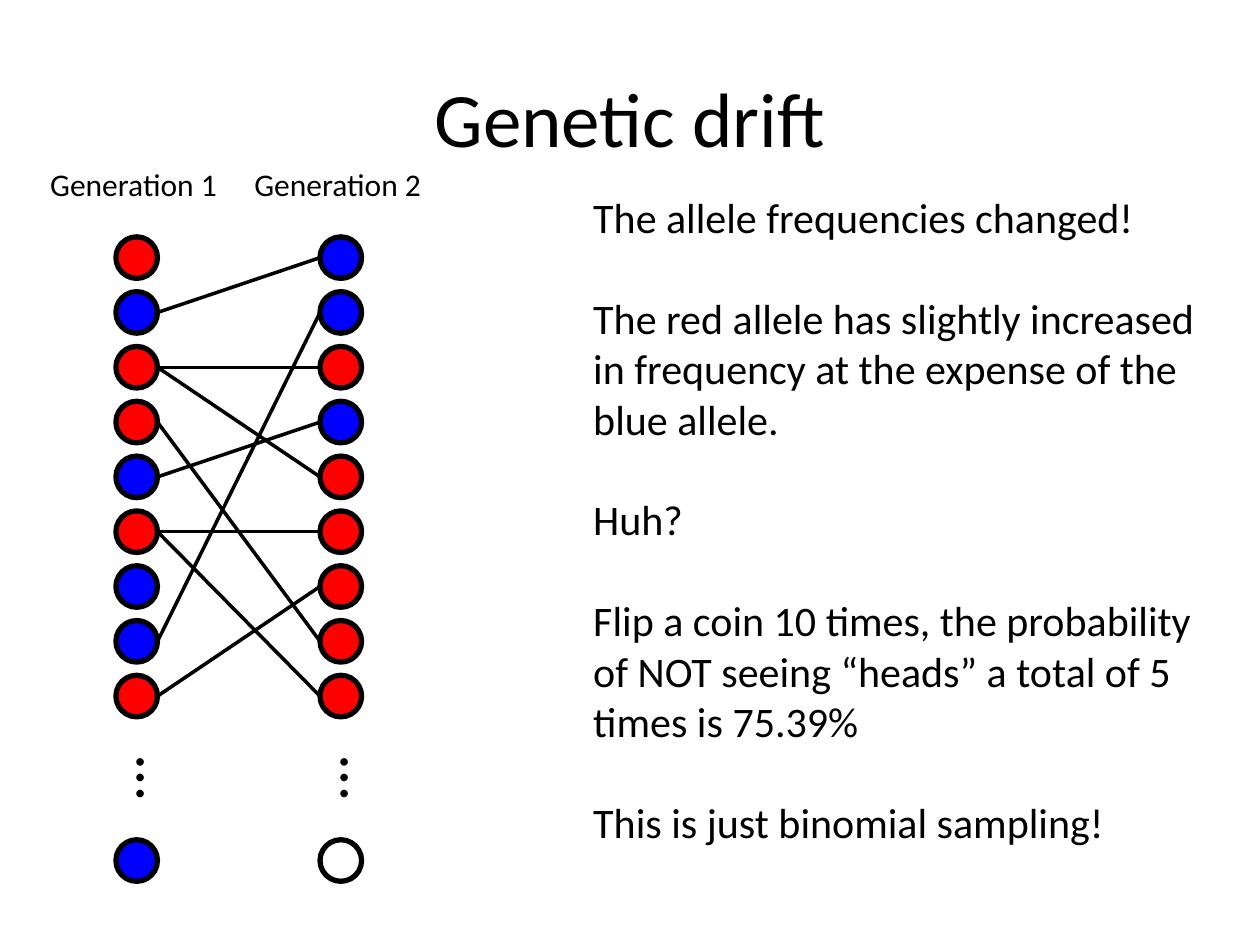
from lxml import etree
from pptx import Presentation
from pptx.dml.color import RGBColor
from pptx.enum import shapes, text
from pptx.oxml.ns import qn
from pptx.util import Inches, Pt

COLORS = {"ink": "000000", "R": "FF0000", "B": "0000FF"}
FONT = "Calibri"
DIAMETER = Inches(0.33)
PITCH = Inches(3.48) / 8  # nine alleles span eight steps
LAST_SLOT = 11

GENERATIONS = [("Generation 1", "RBRRBRBBR", "B"),
               ("Generation 2", "BBRBRRRRR", None)]
# (parent row, child row)
INHERITANCE = [(5, 5), (7, 1), (2, 4), (4, 3), (1, 0), (2, 2), (8, 6), (3, 7), (5, 8)]
REMARKS = [
    "The allele frequencies changed!",
    "The red allele has slightly increased in frequency at the expense of the blue allele.",
    "Huh?",
    "Flip a coin 10 times, the probability of NOT seeing “heads” a total of 5 times is 75.39%",
    "This is just binomial sampling!",
]


def rgb(name):
    return RGBColor.from_string(COLORS[name])


def write(frame, lines, size, frame_format=None, paragraph_format=None):
    """Fill a text frame, one paragraph for each line, with shared formats."""
    for attribute, value in (frame_format or {}).items():
        setattr(frame, attribute, value)
    for index, line in enumerate(lines):
        paragraph = frame.paragraphs[0] if index == 0 else frame.add_paragraph()
        for attribute, value in (paragraph_format or {}).items():
            setattr(paragraph, attribute, value if index or attribute != "space_before" else 0)
        run = paragraph.add_run()
        run.text = line
        for attribute, value in {"name": FONT, "size": Pt(size)}.items():
            setattr(run.font, attribute, value)
        run.font.color.rgb = rgb("ink")


def add_title(slide, left, top, width, height):
    title = slide.shapes.title
    box = {"left": left, "top": top, "width": width, "height": height}
    for attribute, value in box.items():
        setattr(title, attribute, value)
    write(title.text_frame, ["Genetic drift"], 44,
          {"vertical_anchor": text.MSO_ANCHOR.MIDDLE},
          {"alignment": text.PP_ALIGN.CENTER})


def add_allele(slide, left, top, allele):
    circle = slide.shapes.add_shape(shapes.MSO_SHAPE.OVAL, left, top, DIAMETER, DIAMETER)
    circle.shadow.inherit = False
    if allele:
        circle.fill.solid()
        circle.fill.fore_color.rgb = rgb(allele)
    else:
        circle.fill.background()
    circle.line.color.rgb = rgb("ink")
    circle.line.width = Pt(3)
    return circle


def add_generation(slide, left, top, heading, alleles, last_allele):
    """Draw one population column and return its numbered circles."""
    label = slide.shapes.add_textbox(left - Inches(0.62), top - Inches(0.62),
                                     Inches(1.55), Inches(0.4))
    write(label.text_frame, [heading], 18, {"word_wrap": False})

    circles = [add_allele(slide, left, int(top + row * PITCH), allele)
               for row, allele in enumerate(alleles)]
    add_allele(slide, left, int(top + LAST_SLOT * PITCH), last_allele)

    ellipsis = slide.shapes.add_textbox(left - Inches(0.12), top + Inches(3.94),
                                        Inches(0.97), Inches(0.71))
    ellipsis.rotation = 90
    write(ellipsis.text_frame, ["…"], 36,
          {"word_wrap": True, "vertical_anchor": text.MSO_ANCHOR.MIDDLE},
          {"alignment": text.PP_ALIGN.CENTER})
    return circles


def add_descent(slide, parent, child):
    middle = DIAMETER // 2
    line = slide.shapes.add_connector(
        shapes.MSO_CONNECTOR.STRAIGHT,
        parent.left + DIAMETER, parent.top + middle, child.left, child.top + middle)
    line.line.color.rgb = rgb("ink")
    line.line.width = Pt(2)
    etree.SubElement(line._element.spPr, qn("a:effectLst"))


def add_inheritance(slide, left, top, column_step):
    parents, children = [
        add_generation(slide, left + index * column_step, top, *generation)
        for index, generation in enumerate(GENERATIONS)]
    for parent, child in INHERITANCE:
        add_descent(slide, parents[parent], children[child])


def add_remarks(slide, left, top, width, height):
    remarks = slide.shapes.add_textbox(left, top, width, height)
    write(remarks.text_frame, REMARKS, 24, {"word_wrap": True},
          {"space_before": Pt(28.8)})


def main():
    deck = Presentation()
    deck.slide_width, deck.slide_height = Inches(10), Inches(7.5)
    slide = deck.slides.add_slide(deck.slide_layouts[5])
    add_title(slide, 0, Inches(0.3), Inches(10), Inches(1.25))
    add_inheritance(slide, Inches(0.92), Inches(1.88), Inches(1.62))
    add_remarks(slide, Inches(4.61), Inches(1.47), Inches(5.02), Inches(5.35))
    deck.save("out.pptx")


if __name__ == "__main__":
    main()
